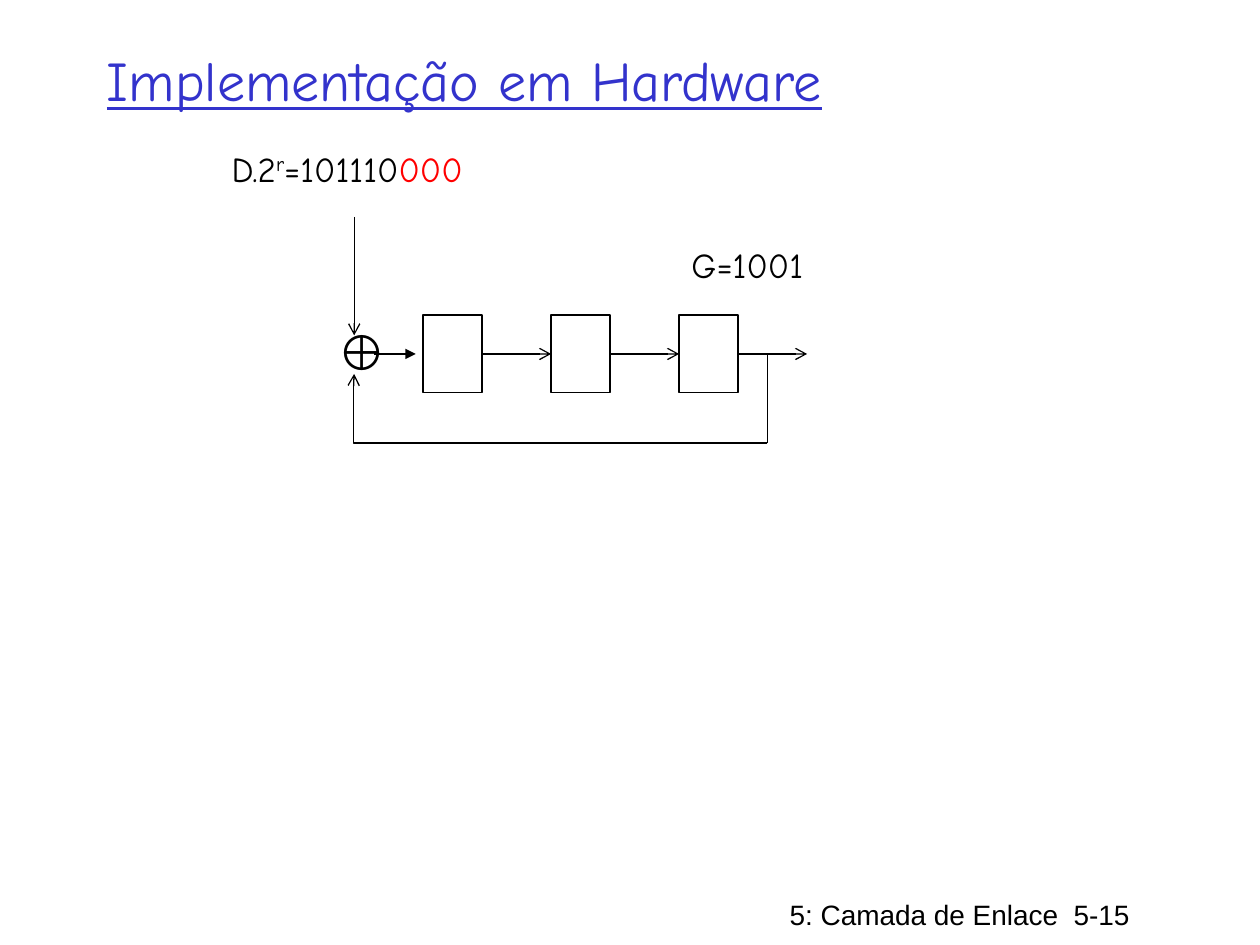
"""Build a slide showing the shift-register hardware for a CRC with G=1001."""
from lxml.etree import SubElement
from pptx import Presentation
from pptx.dml.color import RGBColor
from pptx.enum.shapes import MSO_CONNECTOR, MSO_SHAPE
from pptx.enum.text import MSO_ANCHOR, MSO_AUTO_SIZE, PP_ALIGN
from pptx.oxml.ns import qn
from pptx.util import Cm, Pt

BLACK = RGBColor(0x00, 0x00, 0x00)
BLUE = RGBColor(0x33, 0x33, 0xCC)
RED = RGBColor(0xFF, 0x00, 0x00)

TITLE = {"name": "Comic Neue", "size": Pt(32), "underline": True, "bold": False}
LABEL = {"name": "Comic Neue", "size": Pt(20)}
SYMBOL = {"name": "Arial", "size": Pt(28)}
FOOTER = {"name": "Arial", "size": Pt(16)}


class SlideBuilder:
    """Hold the line style and the current slide, and add elements to it."""

    def __init__(self, slide, line_width=Pt(0.75)):
        self.slide = slide
        self.line_width = line_width

    def add_span(self, para, text, style, color=BLACK, baseline=0):
        span = para.add_run()
        span.text = text
        for name, value in style.items():
            setattr(span.font, name, value)
        span.font.color.rgb = color
        if baseline:
            span.font._element.set("baseline", str(baseline * 1000))

    def title(self, text, left, top, width, height):
        box = self.slide.shapes.title
        place = {"left": left, "top": top, "width": width, "height": height}
        for name, value in place.items():
            setattr(box, name, Cm(value))
        frame = box.text_frame
        frame.auto_size = MSO_AUTO_SIZE.NONE
        frame.vertical_anchor = MSO_ANCHOR.MIDDLE
        para = frame.paragraphs[0]
        para.alignment = PP_ALIGN.LEFT
        self.add_span(para, text, TITLE, BLUE)

    def text(self, spans, style, left, top, width, height, wrap=False):
        box = self.slide.shapes.add_textbox(Cm(left), Cm(top), Cm(width), Cm(height))
        frame = box.text_frame
        frame.word_wrap = wrap
        frame.auto_size = MSO_AUTO_SIZE.SHAPE_TO_FIT_TEXT
        for text, *extras in spans:
            self.add_span(frame.paragraphs[0], text, style, *extras)

    def register(self, left, top, width, height):
        box = self.slide.shapes.add_shape(
            MSO_SHAPE.RECTANGLE, Cm(left), Cm(top), Cm(width), Cm(height))
        box.shadow.inherit = False
        box.fill.background()
        box.line.color.rgb = BLACK
        box.line.width = self.line_width

    def wire(self, start, end, head=None, bend=None):
        kind = MSO_CONNECTOR.STRAIGHT if bend is None else MSO_CONNECTOR.ELBOW
        wire = self.slide.shapes.add_connector(
            kind, *(Cm(value) for value in (*start, *end)))
        wire.line.color.rgb = BLACK
        wire.line.width = self.line_width
        properties = wire._element.spPr
        if head:
            SubElement(properties.find(qn("a:ln")), qn("a:tailEnd"), type=head)
        if bend is not None:
            guides = properties.find(qn("a:prstGeom")).find(qn("a:avLst"))
            SubElement(guides, qn("a:gd"), name="adj1", fmla=f"val {bend}")
        SubElement(properties, qn("a:effectLst"))


def main():
    deck = Presentation()
    deck.slide_width, deck.slide_height = Cm(25.4), Cm(19.05)
    page = SlideBuilder(deck.slides.add_slide(deck.slide_layouts[5]))

    page.text([("5: Camada de Enlace  5-15",)], FOOTER, 15.67, 17.96, 9.73, 0.94, True)
    page.title("Implementação em Hardware", 1.9, 0.43, 21.59, 2.34)

    first, pitch, width, top, height = 8.53, 2.58, 1.19, 6.35, 1.57
    middle = top + height / 2
    input_x, tap_x, feedback_y = 7.14, 15.47, 8.93
    page.text([("⊕",)], SYMBOL, 6.55, top, 1.27, 1.45)
    page.wire((7.54, middle), (8.38, middle), "triangle")
    for index in range(3):
        left = first + index * pitch
        page.register(left, top, width, height)
        page.wire((left + width, middle), (left + pitch, middle), "arrow")
    page.wire((input_x, 4.37), (input_x, 6.76), "arrow")
    page.wire((tap_x, feedback_y), (input_x, 7.54), "arrow", bend=100100)
    page.wire((tap_x, feedback_y), (tap_x, middle))

    page.text([("G=1001",)], LABEL, 13.69, 4.78, 2.84, 1.12)
    page.text([("D.2",), ("r", BLACK, 30), ("=101110",), ("000", RED)],
              LABEL, 4.42, 2.84, 5.69, 1.12)
    deck.save("out.pptx")


if __name__ == "__main__":
    main()
